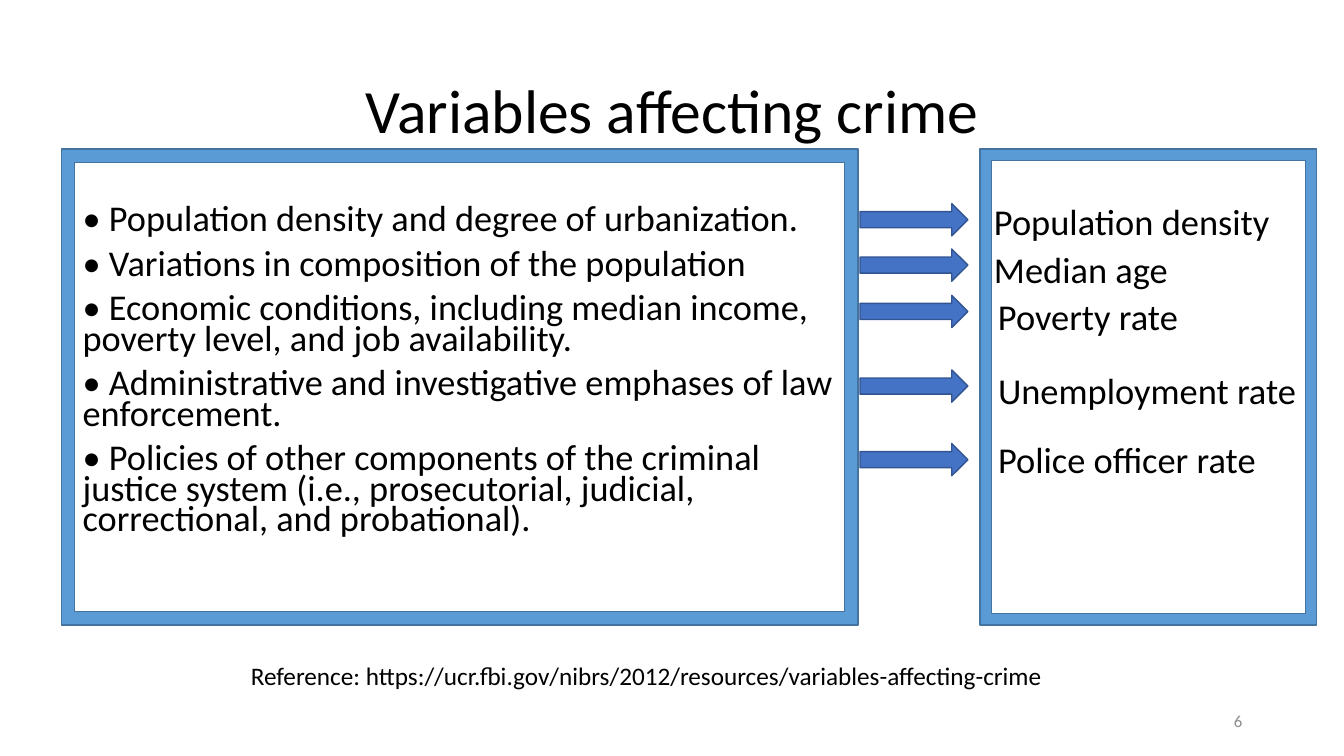
from lxml import etree
from pptx import Presentation
from pptx.dml.color import RGBColor
from pptx.enum.shapes import MSO_SHAPE
from pptx.enum.text import MSO_ANCHOR, MSO_AUTO_SIZE, PP_ALIGN
from pptx.oxml.ns import qn
from pptx.util import Pt

ARROW, FRAME = MSO_SHAPE.RIGHT_ARROW, MSO_SHAPE.FRAME
LEFT, CENTER, RIGHT = PP_ALIGN.LEFT, PP_ALIGN.CENTER, PP_ALIGN.RIGHT
TOP, MIDDLE = MSO_ANCHOR.TOP, MSO_ANCHOR.MIDDLE
NO_FIT, GROW = MSO_AUTO_SIZE.NONE, MSO_AUTO_SIZE.SHAPE_TO_FIT_TEXT

EMU_PER_PX = 9144  # 100 px to the inch


def px(*lengths):
    return [length * EMU_PER_PX for length in lengths]


def color(hex_string):
    return RGBColor.from_string(hex_string)


class SlideBuilder:
    font_name = "Calibri"
    text_color = "000000"

    def __init__(self, presentation):
        self.slide = presentation.slides.add_slide(presentation.slide_layouts[1])

    def place(self, shape, box):
        shape.left, shape.top, shape.width, shape.height = px(*box)

    def fill_text(self, shape, lines, size, frame_format, paragraph_format, text_color=None):
        frame = shape.text_frame
        for name, value in frame_format.items():
            setattr(frame, name, value)
        for index, line in enumerate(lines):
            paragraph = frame.paragraphs[0] if index == 0 else frame.add_paragraph()
            for name, value in paragraph_format.items():
                setattr(paragraph, name, value)
            if index == 0:
                paragraph.space_before = Pt(0)
            run = paragraph.add_run()
            run.text = line
            for name, value in {"name": self.font_name, "size": Pt(size)}.items():
                setattr(run.font, name, value)
            run.font.color.rgb = color(text_color or self.text_color)

    def title(self, text, box):
        shape = self.slide.shapes.title
        self.place(shape, box)
        self.fill_text(shape, [text], 44,
                       {"vertical_anchor": MIDDLE, "auto_size": NO_FIT, "word_wrap": True},
                       {"alignment": CENTER, "line_spacing": 0.9})

    def body(self, lines, box):
        shape = self.slide.placeholders[1]
        self.place(shape, box)
        self.fill_text(shape, lines, 25.9,
                       {"vertical_anchor": TOP, "auto_size": NO_FIT, "word_wrap": True},
                       {"alignment": LEFT, "line_spacing": 0.7, "space_before": Pt(10)})
        # The bullet signs are typed, so the template's own are switched off
        for paragraph in shape.text_frame.paragraphs:
            properties = paragraph._p.get_or_add_pPr()
            properties.set("marL", "0")
            properties.set("indent", "0")
            etree.SubElement(properties, qn("a:buNone"))

    def label(self, text, box, size):
        shape = self.slide.shapes.add_textbox(*px(*box))
        self.fill_text(shape, [text], size, {"word_wrap": False, "auto_size": GROW},
                       {"alignment": LEFT})

    def page_number(self, text, box):
        shape = self.slide.shapes.add_textbox(*px(*box))
        self.fill_text(shape, [text], 12, {"word_wrap": True, "vertical_anchor": MIDDLE},
                       {"alignment": RIGHT}, "8C8C8C")

    def shape(self, kind, box, fill, line, adjustment=None):
        shape = self.slide.shapes.add_shape(kind, *px(*box))
        shape.shadow.inherit = False
        shape.fill.solid()
        shape.fill.fore_color.rgb = color(fill)
        shape.line.color.rgb = color(line)
        shape.line.width = Pt(1)
        if adjustment is not None:
            shape.adjustments[0] = adjustment


def main():
    presentation = Presentation()
    presentation.slide_width, presentation.slide_height = px(1333, 750)
    builder = SlideBuilder(presentation)

    # Title and list of factors
    builder.title("Variables affecting crime", (92, 40, 1150, 145))
    builder.body([
        "• Population density and degree of urbanization.",
        "• Variations in composition of the population",
        "• Economic conditions, including median income, poverty level, "
        "and job availability.",
        "• Administrative and investigative emphases of law enforcement.",
        "• Policies of other components of the criminal justice system "
        "(i.e., prosecutorial, judicial, correctional, and probational).",
    ], (72, 201, 790, 367))

    # Arrows from each factor to its measured variable
    variables = [
        ("Population density", 202, 976, 193, 296),
        ("Median age", 247, 976, 240, 194),
        ("Poverty rate", 293, 980, 287, 200),
        ("Unemployment rate", 367, 980, 360, 318),
        ("Police officer rate", 440, 980, 429, 279),
    ]
    for variable, arrow_top, left, top, width in variables:
        builder.shape(ARROW, (853, arrow_top, 107, 32), "4472C4", "325491")
        builder.label(variable, (left, top, width, 54), 26)

    # Reference
    builder.label("Reference: https://ucr.fbi.gov/nibrs/2012/resources/"
                  "variables-affecting-crime", (239, 650, 809, 40), 18)

    # Frames around both columns
    for left, width, thickness in [(61, 790, 0.028), (972, 334, 0.034)]:
        builder.shape(FRAME, (left, 148, width, 472), "5B9BD5", "43739E", thickness)

    builder.page_number("6", (942, 695, 300, 40))
    presentation.save("out.pptx")


if __name__ == "__main__":
    main()
